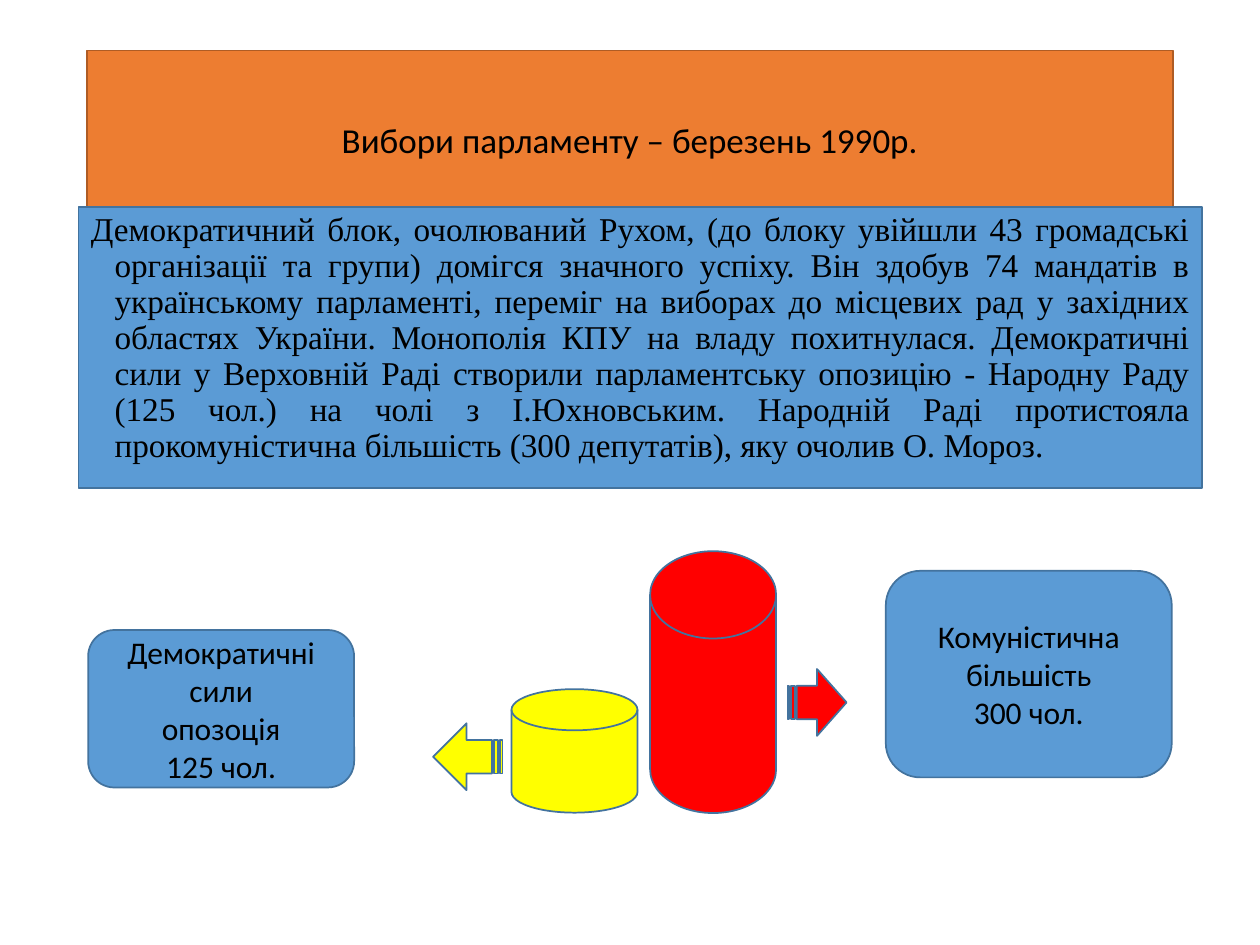
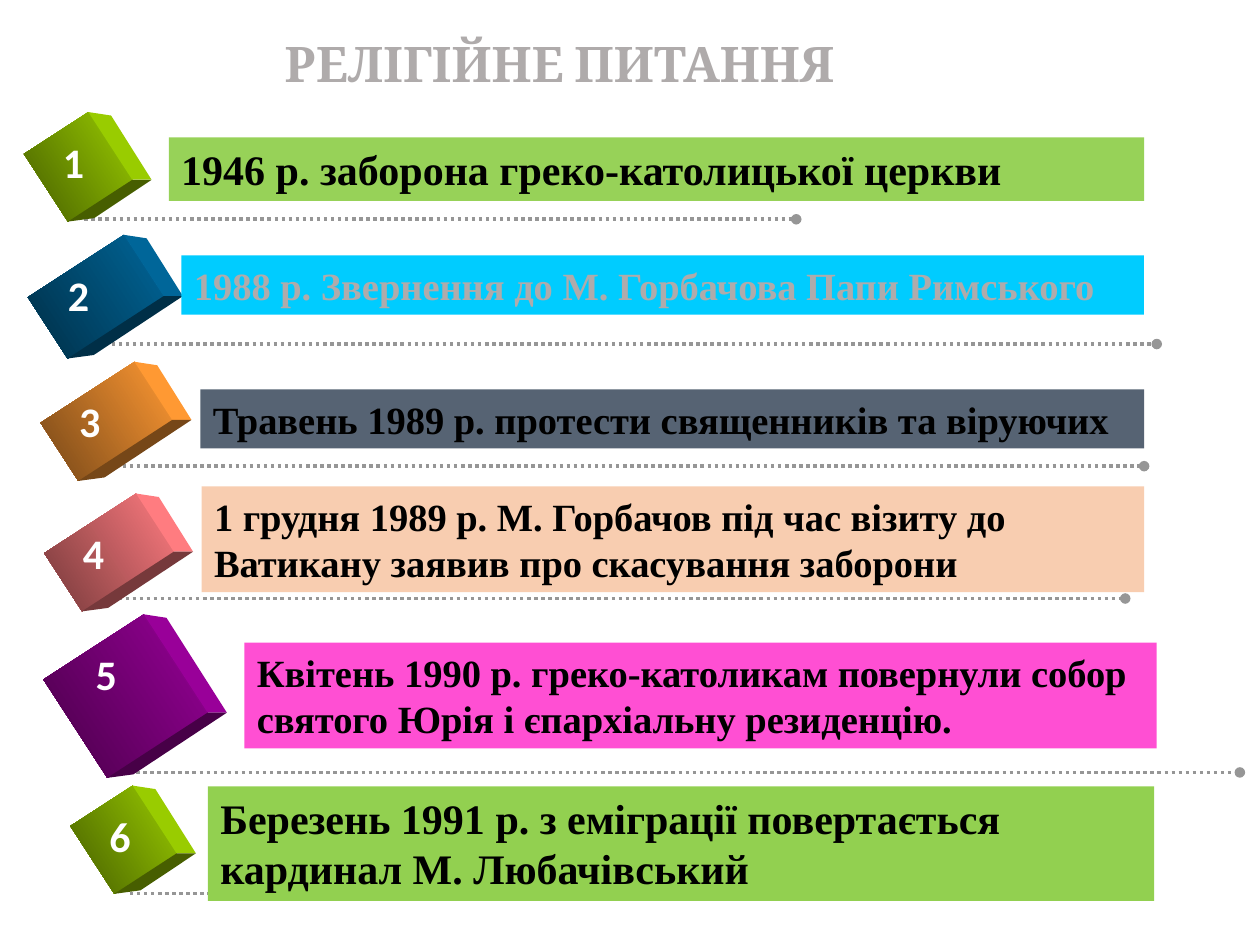
from math import cos, radians, sin

from lxml import etree
from pptx import Presentation
from pptx import util as u
from pptx.dml.color import RGBColor
from pptx.enum import dml, shapes, text
from pptx.oxml import ns

Pt = u.Pt
Kind = shapes.MSO_SHAPE
Align = text.PP_ALIGN
Anchor = text.MSO_ANCHOR

BLACK = RGBColor(0, 0, 0)
WHITE = RGBColor(255, 255, 255)
SILVER = RGBColor(0xAF, 0xAB, 0xAB)
GREY = RGBColor(0x96, 0x96, 0x96)
ORANGE = RGBColor(0xED, 0x7D, 0x31)
RUST = RGBColor(0xAF, 0x5C, 0x24)
BLUE = RGBColor(0x5B, 0x9B, 0xD5)
NAVY = RGBColor(0x43, 0x73, 0x9E)
YELLOW = RGBColor(255, 255, 0)
RED = RGBColor(255, 0, 0)
LEAF = RGBColor(0x92, 0xD0, 0x50)
CYAN = RGBColor(0, 0xCC, 0xFF)
SLATE = RGBColor(0x3D, 0x4C, 0x5F)
PEACH = RGBColor(0xF8, 0xCB, 0xAD)
PINK = RGBColor(0xFF, 0x33, 0xCC)
LIME = RGBColor(0x99, 0xCC, 0), RGBColor(0x47, 0x5E, 0)
TEAL = RGBColor(0, 0x66, 0x99), RGBColor(0, 0x2F, 0x47)
AMBER = RGBColor(0xFF, 0x99, 0x33), RGBColor(0x76, 0x47, 0x18)
ROSE = RGBColor(0xFF, 0x7C, 0x80), RGBColor(0x76, 0x39, 0x3B)
PLUM = RGBColor(0x99, 0, 0x99), RGBColor(0x47, 0, 0x47)

TURN = 57
SERIF = "Times New Roman"
LABEL = {"name": "Calibri", "size": Pt(18)}


def assign(item, form):
    for key, value in form.items():
        setattr(item, key, value)


class Deck:
    def __init__(self):
        self.prs = Presentation()
        assign(self.prs, {"slide_width": Pt(720), "slide_height": Pt(540)})

    def start(self):
        self.slide = self.prs.slides.add_slide(self.prs.slide_layouts[5])
        self.pool = self.slide.shapes

    def paint(self, shape, fill=None, line=None):
        if fill is not None:
            shape.fill.solid()
            shape.fill.fore_color.rgb = fill
        if line is None:
            shape.line.fill.background()
        else:
            shape.line.color.rgb = line
            shape.line.width = Pt(1)

    def put(self, shape, lines, font, color=BLACK, para=None, anchor=Anchor.TOP):
        frame = shape.text_frame
        assign(frame, {"word_wrap": True, "vertical_anchor": anchor,
                       "auto_size": text.MSO_AUTO_SIZE.NONE,
                       "margin_left": Pt(7.2), "margin_right": Pt(7.2),
                       "margin_top": Pt(3.6), "margin_bottom": Pt(3.6)})
        frame.text = lines
        for part in frame.paragraphs:
            assign(part, {"alignment": Align.LEFT, **(para or {})})
            for run in part.runs:
                assign(run.font, font)
                run.font.color.rgb = color

    def title(self, box, words, font, color, align, fill=None, line=None):
        shape = self.pool.title
        assign(shape, dict(zip(("left", "top", "width", "height"), map(Pt, box))))
        self.paint(shape, fill, line)
        self.put(shape, words, font, color,
                 {"alignment": align, "line_spacing": 0.9}, Anchor.MIDDLE)

    def shape(self, kind, box, fill, line=None, turn=0):
        shape = self.pool.add_shape(kind, *map(Pt, box))
        shape.shadow.inherit = False
        shape.rotation = turn
        self.paint(shape, fill, line)
        return shape

    def label(self, box, words):
        shape = self.shape(Kind.ROUNDED_RECTANGLE, box, BLUE, NAVY)
        self.put(shape, words, LABEL, para={"alignment": Align.CENTER},
                 anchor=Anchor.MIDDLE)

    def bar(self, box, fill, alpha, words, size, color):
        shape = self.shape(Kind.RECTANGLE, box, fill)
        if alpha < 100:
            tint = shape._element.spPr.find(".//" + ns.qn("a:srgbClr"))
            etree.SubElement(tint, ns.qn("a:alpha"), val=str(alpha * 1000))
        self.put(shape, words, {"name": SERIF, "size": Pt(size), "bold": True}, color)

    def dots(self, left, right, y):
        line = self.pool.add_connector(shapes.MSO_CONNECTOR.STRAIGHT,
                                       *map(Pt, (left, y, right, y)))
        line.line.color.rgb = GREY
        assign(line.line, {"width": Pt(2), "dash_style": dml.MSO_LINE.ROUND_DOT})
        props = line._element.spPr
        etree.SubElement(props.find(ns.qn("a:ln")), ns.qn("a:tailEnd"), type="oval")
        etree.SubElement(props, ns.qn("a:effectLst"))

    def face(self, points, fill):
        first, *rest = [(Pt(x), Pt(y)) for x, y in points]
        form = self.pool.build_freeform(*first)
        form.add_line_segments(rest, close=True)
        shape = form.convert_to_shape()
        shape.shadow.inherit = False
        self.paint(shape, fill)

    def cube(self, box, tones):
        left, top, width, height = box
        front = self.shape(Kind.RECTANGLE, box, tones[0], turn=TURN)
        front.fill.gradient()
        front.fill.gradient_angle = 270
        for stop, tone in zip(front.fill.gradient_stops, tones):
            stop.color.rgb = tone
        c, s = cos(radians(TURN)), sin(radians(TURN))

        def corner(x, y):
            x, y = x * width / 2, y * height / 2
            return left + width / 2 + x * c - y * s, top + height / 2 + x * s + y * c

        near = [corner(-1, -1), corner(1, -1), corner(1, 1)]
        depth = [(13, 2), (11, 0), (15, -2)]
        far = [(x + dx, y + dy) for (x, y), (dx, dy) in zip(near, depth)]
        for i, tone in enumerate(tones):
            self.face([near[i], far[i], far[i + 1], near[i + 1]], tone)

    def number(self, box, value):
        shape = self.pool.add_textbox(*map(Pt, box))
        self.put(shape, str(value),
                 {"name": "Calibri", "size": Pt(24), "bold": True}, WHITE)


VOTE = (
    "Демократичний блок, очолюваний Рухом, (до блоку увійшли 43 громадські організації "
    "та групи) домігся значного успіху. Він здобув 74 мандатів в українському парламенті, "
    "переміг на виборах до місцевих рад у західних областях України. Монополія КПУ на владу "
    "похитнулася. Демократичні сили у Верховній Раді створили парламентську опозицію - "
    "Народну Раду (125 чол.) на чолі з І.Юхновським. Народній Раді протистояла "
    "прокомуністична більшість (300 депутатів), яку очолив О. Мороз.")

STEPS = [
    ((48.2, 455, 125.3), (21.6, 73.4, 46.1, 43.9), LIME, (28.8, 74.2, 30.2, 43.9),
     (96.5, 78.5, 557.3, 36.3), LEAF, 95, 24, BLACK,
     "1946 р. заборона греко-католицької церкви"),
    ((59.8, 661, 196.6), (33.8, 136.8, 41.8, 65.5), TEAL, (31.7, 150.5, 44.6, 39.6),
     (103.7, 146, 550, 33.8), CYAN, 100, 22, SILVER,
     "1988 р. Звернення до М. Горбачова Папи Римського"),
    ((66.2, 653.8, 266.4), (41, 208.8, 39.6, 64), AMBER, (38.2, 222.5, 43.2, 37.4),
     (114.5, 222.5, 539.3, 33.8), SLATE, 87, 22, BLACK,
     "Травень 1989 р. протести священників та віруючих"),
    ((67.7, 643, 342), (42.5, 284.4, 39.6, 62.6), ROSE, (40.3, 298, 42.5, 37.4),
     (115.2, 278, 538.6, 60.5), PEACH, 96, 22, BLACK,
     "1 грудня 1989 р. М. Горбачов під час візиту до Ватикану заявив про скасування заборони"),
    ((77.8, 708.5, 441.4), (38.2, 363.6, 67, 68.4), PLUM, (47.5, 367.2, 46.8, 63.4),
     (139.7, 367.2, 521.3, 60.5), PINK, 86, 22, BLACK,
     "Квітень 1990 р. греко-католикам повернули собор святого Юрія і єпархіальну резиденцію."),
    ((74.2, 468.7, 510.5), (47.5, 458.6, 46.1, 42.5), LIME, (55.4, 459.4, 26.6, 36),
     (118.8, 449.3, 540.7, 65.5), LEAF, 100, 24, BLACK,
     "Березень 1991 р. з еміграції повертається кардинал М. Любачівський"),
]


def votes(deck):
    deck.start()
    deck.title((49.7, 28.8, 620.6, 104.4), "Вибори парламенту – березень 1990р.",
               {"name": "Calibri", "size": Pt(20)}, BLACK, Align.CENTER, ORANGE, RUST)
    body = deck.shape(Kind.RECTANGLE, (44.9, 118.2, 642.2, 160.6), BLUE, NAVY)
    deck.put(body, VOTE, {"name": SERIF, "size": Pt(19)},
             para={"alignment": Align.JUSTIFY, "line_spacing": 0.9})
    props = body.text_frame.paragraphs[0]._p.get_or_add_pPr()
    props.set("marL", str(Pt(13.5)))
    props.set("indent", str(-Pt(13.5)))
    disk, arrow = Kind.FLOWCHART_MAGNETIC_DISK, Kind.STRIPED_RIGHT_ARROW
    for kind, box, fill, turn in (
            (disk, (292.3, 393.8, 72, 70.6), YELLOW, 0),
            (disk, (371.5, 315, 72, 149.6), RED, 0),
            (arrow, (450, 382.3, 33.8, 38.2), RED, 0),
            (arrow, (247.5, 413.3, 39.6, 38.2), YELLOW, 180)):
        deck.shape(kind, box, fill, NAVY, turn)
    deck.label((506.2, 326.2, 163.4, 118), "Комуністична більшість\n300 чол.")
    deck.label((50.4, 360, 152, 90), "Демократичні сили\nопозоція\n125 чол.")


def faith(deck):
    deck.start()
    deck.title((155.5, 13, 414, 49.7), "РЕЛІГІЙНЕ ПИТАННЯ",
               {"name": "Cambria", "size": Pt(28), "bold": True}, SILVER, Align.LEFT)
    for i, (line, cube, tones, spot, box, fill, alpha, size, color, words) in enumerate(STEPS, 1):
        deck.dots(*line)
        deck.cube(cube, tones)
        deck.bar(box, fill, alpha, words, size, color)
        deck.number(spot, i)


def main():
    deck = Deck()
    votes(deck)
    faith(deck)
    deck.prs.save("out.pptx")


if __name__ == "__main__":
    main()
